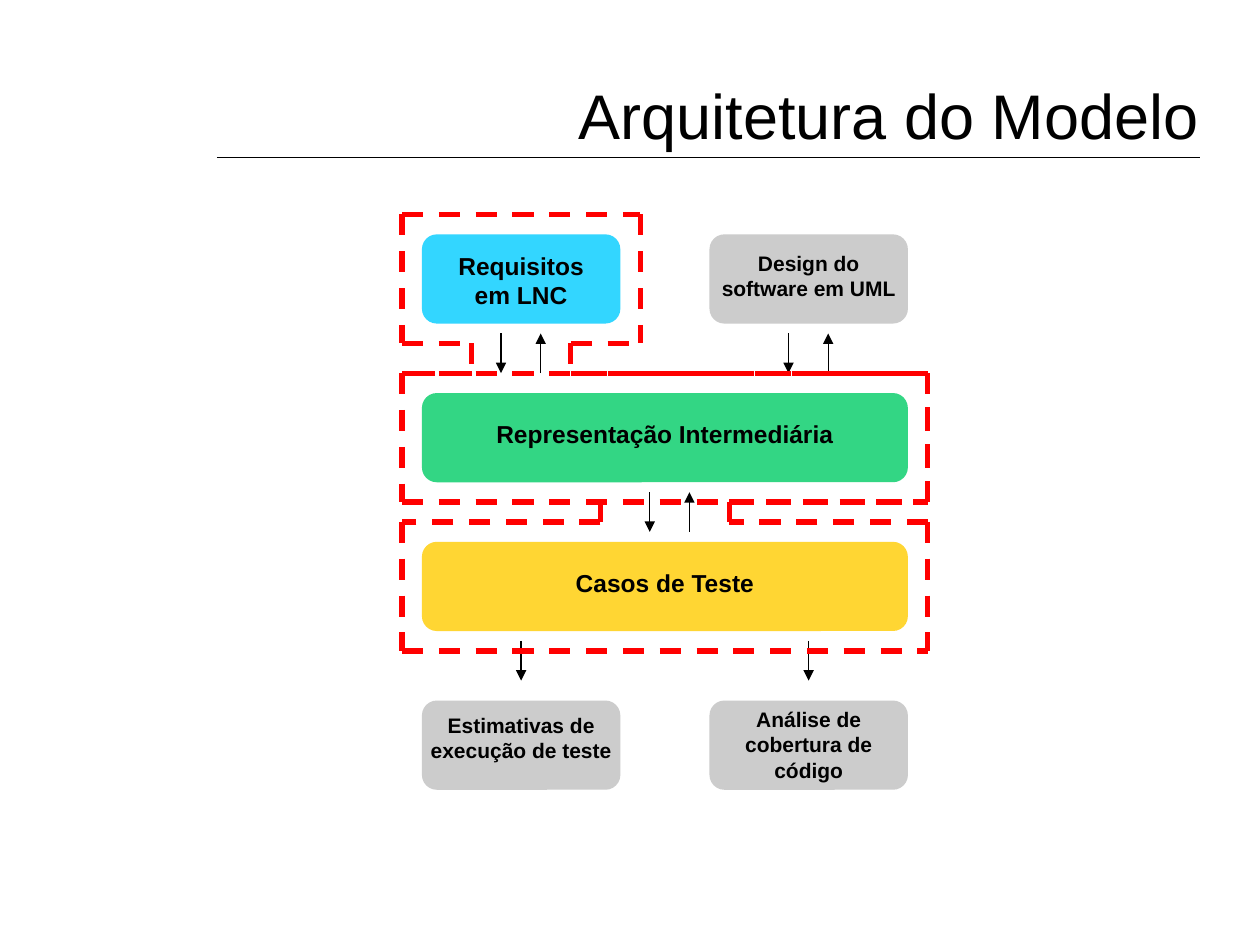
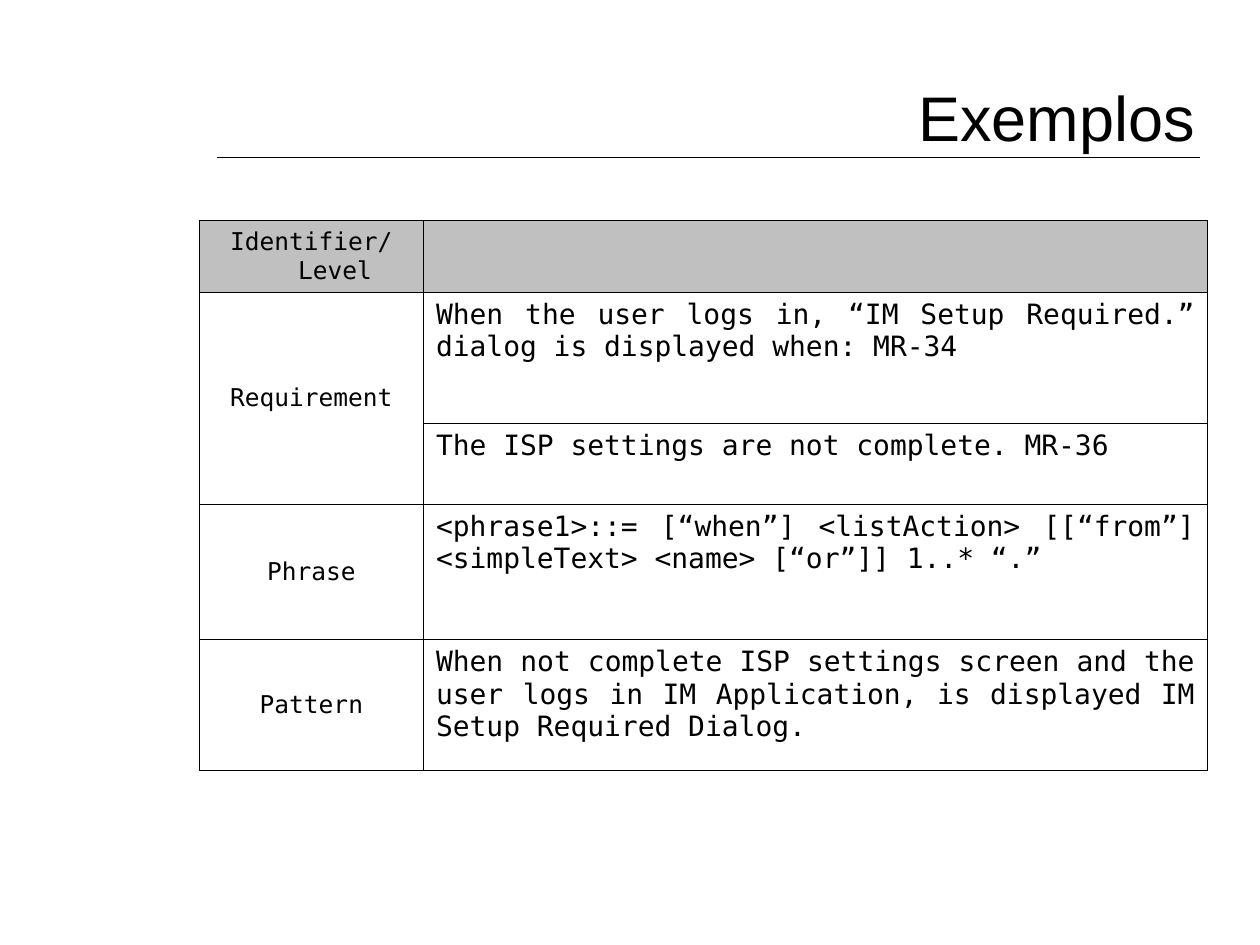
from dataclasses import dataclass
from itertools import pairwise, product
from typing import Any

from lxml import etree
from pptx import Presentation
from pptx import util as u
from pptx.dml import color as col
from pptx.enum import dml, shapes, text
from pptx.oxml import ns

Pt = u.Pt
ALIGN, ANCHOR = text.PP_ALIGN, text.MSO_ANCHOR
BLACK, RED, GREY, SILVER = "000000", "FF0000", "C0C0C0", "C0C0C0"
SANS, MONO = "Arial", "DejaVu Sans Mono"
THIN, THICK = 0.75, 3

Point = tuple[float, float]


@dataclass(frozen=True)
class Box:
    """A rounded block and the label laid over it."""
    left: float
    top: float
    width: float
    fill: str
    label: str
    size: float
    drop: float  # label top below block top
    over: float  # label overhang on each side


@dataclass(frozen=True)
class Row:
    """A table row; a blank name joins the cell above."""
    height: float
    name: str
    body: str
    hang: float = 0


# Shared helpers

def rgb(code: str) -> col.RGBColor:
    return col.RGBColor.from_string(code)


def apply(target: Any, form: dict[str, Any]) -> None:
    for key, val in form.items():
        setattr(target, key, val)


def sub(node: Any, tag: str, **attrs: str) -> Any:
    return etree.SubElement(node, ns.qn(tag), attrs)


def write(frame: Any, words: str, face: str, size: float,
          form: dict[str, Any], bold: bool = False) -> Any:
    para = frame.paragraphs[0]
    apply(para, form)
    run = para.add_run()
    run.text = words
    apply(run.font, {"name": face, "size": Pt(size), "bold": bold})
    run.font.color.rgb = rgb(BLACK)
    return para


def add_label(slide: Any, area: tuple[float, ...], words: str, size: float,
              form: dict[str, Any], anchor: Any, bold: bool = False) -> None:
    frame = slide.shapes.add_textbox(*map(Pt, area)).text_frame
    apply(frame, {"word_wrap": True, "vertical_anchor": anchor})
    write(frame, words, SANS, size, form, bold)


def add_line(host: Any, start: Point, end: Point, ink: str = BLACK,
             width: float = THIN, dash: bool = False, arrow: bool = False) -> None:
    line = host.shapes.add_connector(
        shapes.MSO_CONNECTOR.STRAIGHT, *map(Pt, (*start, *end)))
    line.line.color.rgb = rgb(ink)
    line.line.width = Pt(width)
    if dash:
        line.line.dash_style = dml.MSO_LINE.DASH
    props = line.element.spPr
    if arrow:
        sub(props.find(ns.qn("a:ln")), "a:tailEnd", type="triangle")
    sub(props, "a:effectLst")


def add_slide(deck: Any, title: str, left: float, top: float) -> Any:
    slide = deck.slides.add_slide(deck.slide_layouts[6])
    add_label(slide, (left, top, 576, 90), title, 36,
              {"alignment": ALIGN.RIGHT}, ANCHOR.MIDDLE)
    add_line(slide, (124, 90), (686, 90))
    return slide


# Slide 1: model diagram

LEFT, RIGHT = 241.1, 405.4     # block columns
HALF, FULL, TALL = 113.4, 277.7, 51
ROWS = (133.9, 224.6, 309.6, 400.3)
STEP = 11.34                   # margin of the dashed frame

BOXES = (
    Box(LEFT, ROWS[0], HALF, "00CCFF", "Requisitos em LNC", 14, 5.7, -5.7),
    Box(RIGHT, ROWS[0], HALF, GREY, "Design do software em UML", 12, 5.7, 5.7),
    Box(LEFT, ROWS[1], FULL, "00CC66", "Representação Intermediária", 14, 11.4, -5.7),
    Box(LEFT, ROWS[2], FULL, "FFCC00", "Casos de Teste", 14, 11.4, -5.7),
    Box(LEFT, ROWS[3], HALF, GREY, "Estimativas de execução de teste", 12, 3.5, 5.7),
    Box(RIGHT, ROWS[3], HALF, GREY, "Análise de cobertura de código", 12, 0, 5.7),
)


def add_block(slide: Any, box: Box) -> None:
    block = slide.shapes.add_shape(
        shapes.MSO_SHAPE.ROUNDED_RECTANGLE,
        *map(Pt, (box.left, box.top, box.width, TALL)))
    block.shadow.inherit = False
    block.adjustments[0] = 0.167
    block.fill.solid()
    block.fill.fore_color.rgb = rgb(box.fill)
    tint = block.element.spPr.find(".//" + ns.qn("a:srgbClr"))
    sub(tint, "a:alpha", val="80000")
    block.line.fill.background()


def add_name(slide: Any, box: Box) -> None:
    area = (box.left - box.over, box.top + box.drop,
            box.width + 2 * box.over, TALL - 2 * box.drop)
    form = {"alignment": ALIGN.CENTER, "space_before": Pt(box.size * 0.63)}
    add_label(slide, area, box.label, box.size, form, ANCHOR.TOP, True)


def add_frame(slide: Any, paths: tuple[tuple[Point, ...], ...]) -> None:
    group = slide.shapes.add_group_shape()
    for path in paths:
        for start, end in pairwise(path):
            add_line(group, start, end, RED, THICK, dash=True)


def draw_model(deck: Any) -> None:
    slide = add_slide(deck, "Arquitetura do Modelo", 116, 20.3)
    for box in BOXES:
        add_block(slide, box)
    for box in BOXES:
        add_name(slide, box)

    # Arrows between the rows: down, then back up
    long = 2 * STEP
    gaps = [top + TALL + STEP / 2 for top in ROWS]
    pairs = ((286.3, gaps[0]), (450.6, gaps[0]), (371.3, gaps[1]))
    singles = ((LEFT + HALF / 2, gaps[2]), (RIGHT + HALF / 2, gaps[2]))
    for x, y in pairs + singles:
        add_line(slide, (x, y), (x, y + long), arrow=True)
    for x, y in pairs:
        add_line(slide, (x + long, y + long), (x + long, y), arrow=True)

    # Dashed frames around the rows, open at the necks
    west, east = LEFT - STEP, LEFT + FULL + STEP
    mid = LEFT + HALF + STEP
    top, mouth = ROWS[0] - STEP, ROWS[0] + TALL + STEP
    roof, floor = ROWS[1] - STEP, ROWS[1] + TALL + STEP
    lid, base = ROWS[2] - STEP, ROWS[2] + TALL + STEP
    neck = (west + 39.7, mid - 39.7)
    waist = (west + 113.4, east - 113.4)
    add_frame(slide, (
        ((west, mouth), (neck[0], mouth), (neck[0], roof), (west, roof)),
        ((west, floor), (east, floor), (east, roof)),
        ((neck[1], roof), (east, roof)),
        ((neck[1], mouth), (neck[1], roof)),
        ((neck[1], mouth), (mid, mouth)),
        ((west, top), (mid, top), (mid, mouth)),
        ((west, top), (west, mouth)),
    ))
    add_frame(slide, (
        ((west, floor), (waist[0], floor), (waist[0], lid),
         (west, lid), (west, base), (east, base)),
        ((east, lid), (east, base)),
        ((east, lid), (waist[1], lid)),
        ((waist[1], floor), (waist[1], lid)),
        ((waist[1], floor), (east, floor)),
        ((east, roof), (east, floor)),
        ((west, roof), (east, roof)),
        ((west, roof), (west, floor)),
    ))


# Slide 2: table of examples

HANG = 27
COLS = (128, 448)
TABLE = (
    Row(40, "Identifier/Level", ""),
    Row(75, "Requirement",
        "When the user logs in, “IM Setup Required.” dialog is displayed when: MR-34"),
    Row(46.2, "", "The ISP settings are not complete. MR-36", HANG),
    Row(77.5, "Phrase",
        "<phrase1>::= [“when”] <listAction> [[“from”] <simpleText> <name> [“or”]] 1..* “.”"),
    Row(75, "Pattern",
        "When not complete ISP settings screen and the user logs in IM Application, "
        "is displayed IM Setup Required Dialog."),
)


def style_cell(cell: Any, fill: str | None) -> None:
    apply(cell, {"margin_left": Pt(7.2), "margin_right": Pt(7.2),
                 "margin_top": Pt(3.6), "margin_bottom": Pt(3.6)})
    props = cell._tc.get_or_add_tcPr()
    for side in "LRTB":
        edge = sub(props, f"a:ln{side}", w=str(int(Pt(0.45))))
        sub(sub(edge, "a:solidFill"), "a:srgbClr", val=BLACK)
    if fill:
        cell.fill.solid()
        cell.fill.fore_color.rgb = rgb(fill)
    else:
        cell.fill.background()


def fill_cell(cell: Any, words: str, size: float, align: Any, hang: float) -> None:
    para = write(cell.text_frame, words, MONO, size, {"alignment": align})
    if hang:
        props = para._p.get_or_add_pPr()
        props.set("marL", str(int(Pt(hang))))
        props.set("indent", str(-int(Pt(hang))))


def draw_table(deck: Any) -> None:
    slide = add_slide(deck, "Exemplos", 114, 21.6)
    area = (114, 126, sum(COLS), sum(row.height for row in TABLE))
    grid = slide.shapes.add_table(len(TABLE), len(COLS), *map(Pt, area)).table
    apply(grid, {"first_row": False, "horz_banding": False})
    for track, width in zip(grid.columns, COLS):
        track.width = Pt(width)
    for track, row in zip(grid.rows, TABLE):
        track.height = Pt(row.height)
    for r, c in product(range(len(TABLE)), range(len(COLS))):
        style_cell(grid.cell(r, c), None if r else SILVER)
    for r, row in enumerate(TABLE):
        name, body = grid.cell(r, 0), grid.cell(r, 1)
        if row.name:
            name.vertical_anchor = ANCHOR.MIDDLE
            fill_cell(name, row.name, 14, ALIGN.CENTER, HANG)
        else:
            grid.cell(r - 1, 0).merge(name)
        if row.body:
            fill_cell(body, row.body, 16, ALIGN.JUSTIFY, row.hang)


def main() -> None:
    deck = Presentation()
    apply(deck, {"slide_width": Pt(720), "slide_height": Pt(540)})
    draw_model(deck)
    draw_table(deck)
    deck.save("out.pptx")


if __name__ == "__main__":
    main()
